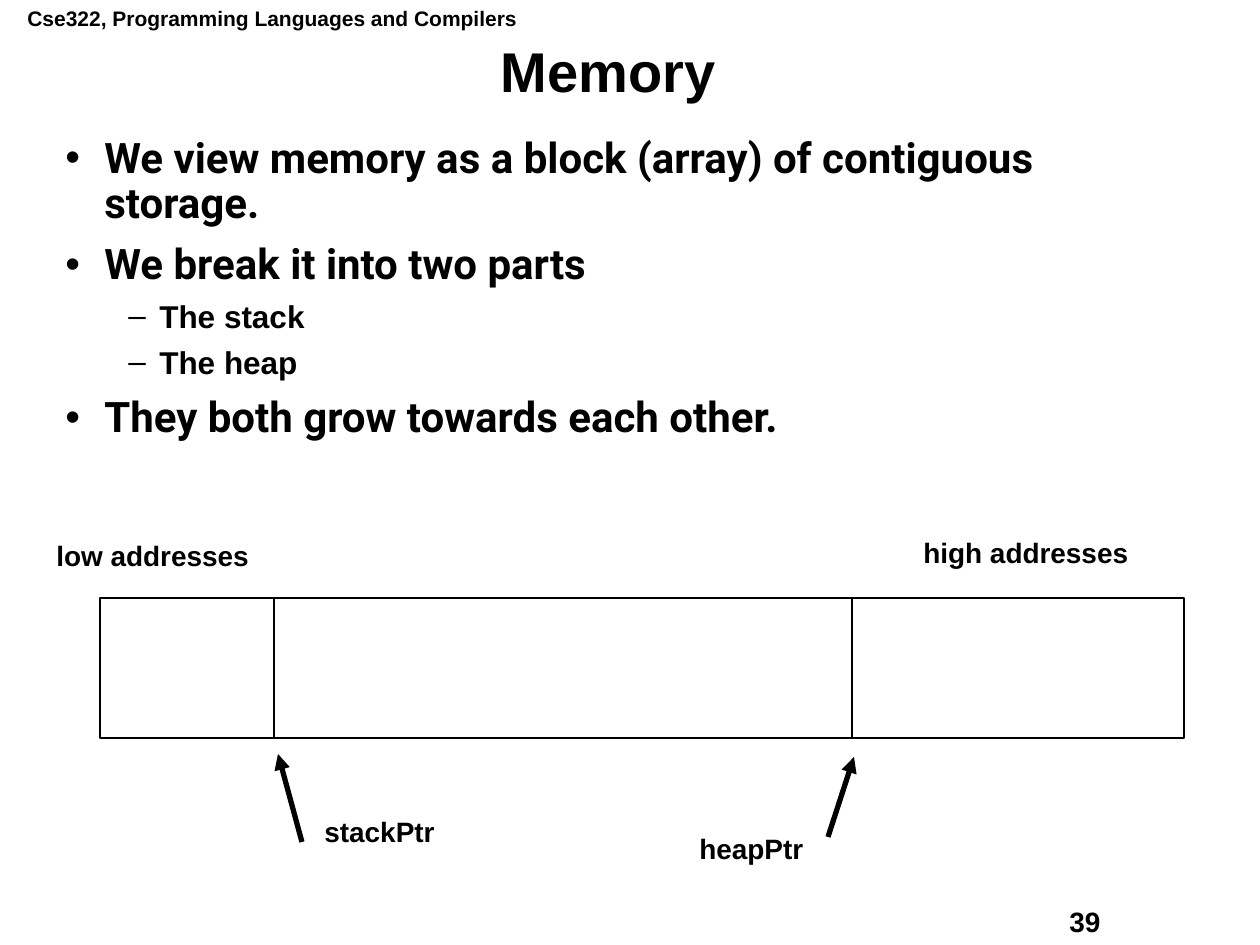
"""Build the "Memory" slide: stack and heap in one block of storage."""
from lxml import etree
from pptx import Presentation
from pptx.dml.color import RGBColor
from pptx.enum.shapes import MSO_CONNECTOR, MSO_SHAPE
from pptx.enum.text import MSO_ANCHOR, PP_ALIGN
from pptx.oxml.ns import qn
from pptx.util import Pt

STRAIGHT = MSO_CONNECTOR.STRAIGHT
RECTANGLE = MSO_SHAPE.RECTANGLE
TOP, MIDDLE = MSO_ANCHOR.TOP, MSO_ANCHOR.MIDDLE
LEFT, CENTER = PP_ALIGN.LEFT, PP_ALIGN.CENTER
BLACK = RGBColor(0, 0, 0)
WHITE = RGBColor(255, 255, 255)
PX = 914400 / 126


def add_text(box, text, size, align=LEFT, anchor=TOP):
    left, top, width, height = [round(n * PX) for n in box]
    frame = slide.shapes.add_textbox(left, top, width, height).text_frame
    frame.word_wrap = True
    frame.vertical_anchor = anchor
    paragraph = frame.paragraphs[0]
    paragraph.text = text
    paragraph.alignment = align
    font = paragraph.runs[0].font
    font.name, font.size, font.bold = "Arial", Pt(size), True
    font.color.rgb = BLACK
    return frame


def add_line(start, end, weight):
    points = [round(n * PX) for n in start + end]
    line = slide.shapes.add_connector(STRAIGHT, *points)
    line.line.color.rgb = BLACK
    line.line.width = Pt(weight)
    etree.SubElement(line._element.spPr, qn("a:effectLst"))
    return line


prs = Presentation()
prs.slide_width, prs.slide_height = round(1260 * PX), round(945 * PX)
slide = prs.slides.add_slide(prs.slide_layouts[6])

add_text((15, -1, 520, 38), "Cse322, Programming Languages and Compilers", 12)
add_text((1057, 898, 160, 45), "39", 16)
title = add_text((39, 39, 1138, 71), "Memory", 32, CENTER, MIDDLE)
title.paragraphs[0].line_spacing = 0.9

POINTS = [
    (0, "We view memory as a block (array) of contiguous storage."),
    (0, "We break it into two parts"),
    (1, "The stack"),
    (1, "The heap"),
    (0, "They both grow towards each other."),
]
LEVELS = [
    ("•", 39, 39, "Roboto", 24, 9),
    ("–", 94, 31, "Arial", 18, 6.8),
]
body = add_text((53, 131, 1124, 333), POINTS[0][1], 24)
for index, (level, point) in enumerate(POINTS):
    bullet, margin, hanging, typeface, size, space = LEVELS[level]
    paragraph = body.add_paragraph() if index else body.paragraphs[0]
    paragraph.text = point
    paragraph.level = level
    paragraph.line_spacing = 0.9
    paragraph.space_before = Pt(space if index else 0)
    properties = paragraph._p.get_or_add_pPr()
    properties.set("marL", str(round(margin * PX)))
    properties.set("indent", str(round(-hanging * PX)))
    bullet_font = etree.SubElement(properties, qn("a:buFont"))
    bullet_font.set("typeface", "Arial")
    etree.SubElement(properties, qn("a:buChar")).set("char", bullet)
    font = paragraph.runs[0].font
    font.name, font.size, font.bold = typeface, Pt(size), True
    font.color.rgb = BLACK

MEMORY_TOP, MEMORY_HEIGHT = 598, 140
memory = slide.shapes.add_shape(
    RECTANGLE, *[round(n * PX) for n in (100, MEMORY_TOP, 1084, MEMORY_HEIGHT)])
memory.shadow.inherit = False
memory.fill.solid()
memory.fill.fore_color.rgb = WHITE
memory.line.color.rgb = BLACK
memory.line.width = Pt(1)

for boundary in (274, 852):
    add_line((boundary, MEMORY_TOP), (boundary, MEMORY_TOP + MEMORY_HEIGHT), 1)

for tip, base in (((278, 754), (302, 842)), ((854, 757), (828, 837))):
    pointer = add_line(tip, base, 3)
    head = etree.SubElement(pointer.line._get_or_add_ln(), qn("a:headEnd"))
    head.set("type", "triangle")

for label, left, top, width in (
    ("stackPtr", 312, 808, 140),
    ("heapPtr", 687, 825, 140),
    ("low addresses", 44, 532, 268),
    ("high addresses", 911, 529, 268),
):
    add_text((left, top, width, 47), label, 16)

prs.save("out.pptx")
